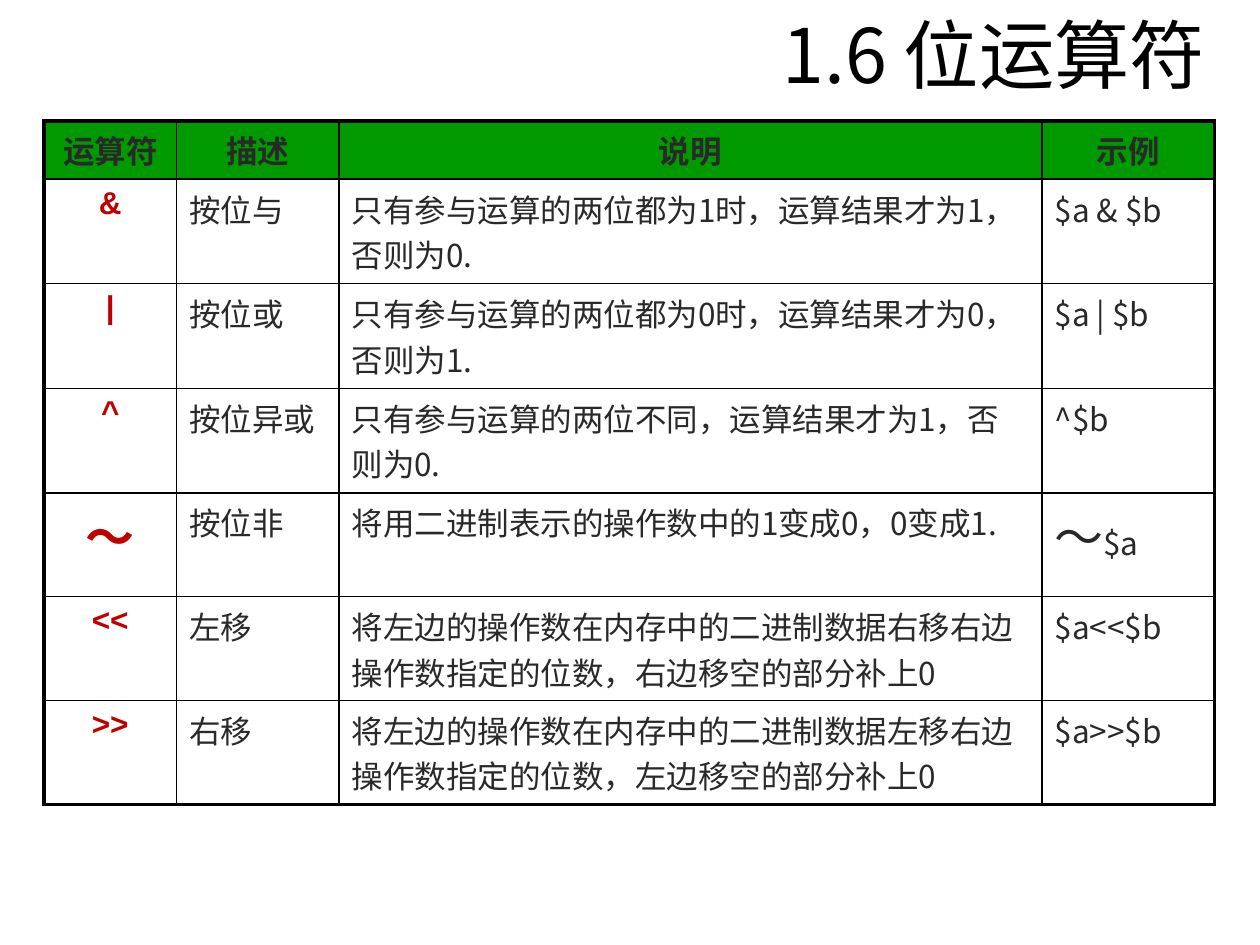
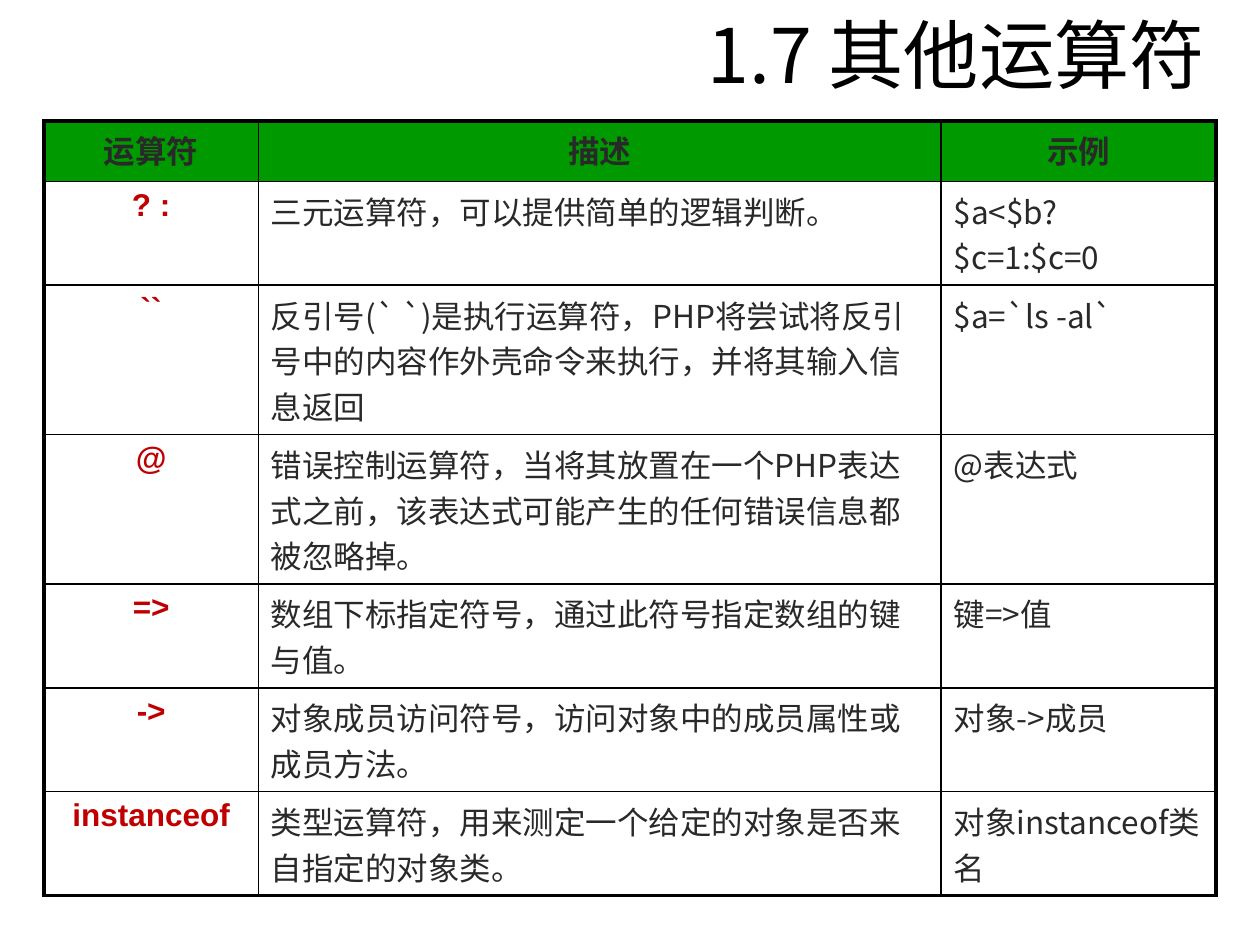
import itertools
from dataclasses import dataclass

import lxml.etree
import pptx
import pptx.dml.color
import pptx.enum.text
import pptx.oxml.ns
import pptx.util

PX = 9144
SLIDE_W, SLIDE_H = 1000, 750
TITLE_BOX = (279, 8, 687, 69)
TABLE_LEFT, TABLE_TOP = 35, 96
COLORS = {
    "black": "000000",
    "header": "009900",
    "body": "292929",
    "operator": "C00000",
}
BODY_FONT = "Noto Sans CJK SC"
OPERATOR_FONT = "Arial"
TITLE_SIZE, BODY_SIZE, TILDE_SIZE = 43, 18, 28
OUTER_LINE, INNER_LINE = 2.25, 1
TILDE = "～"
ALIGN = pptx.enum.text.PP_ALIGN


@dataclass(frozen=True)
class TextStyle:
    font: str
    color: str
    size: int = BODY_SIZE
    bold: bool = False
    align: ALIGN = ALIGN.LEFT


@dataclass(frozen=True)
class OperatorSlide:
    title: str
    cols: tuple[int, ...]
    row_heights: tuple[int, ...]
    rows: tuple[tuple[str, ...], ...]


TITLE = TextStyle(BODY_FONT, "black", TITLE_SIZE, align=ALIGN.RIGHT)
HEADER = TextStyle(BODY_FONT, "body", bold=True, align=ALIGN.CENTER)
OPERATOR = TextStyle(OPERATOR_FONT, "operator", bold=True, align=ALIGN.CENTER)
BODY = TextStyle(BODY_FONT, "body")

SLIDES = (
    OperatorSlide(
        "1.6 位运算符",
        (105, 129, 558, 137),
        (44, 83, 83, 83, 62, 77, 77),
        (
            ("运算符", "描述", "说明", "示例"),
            ("&", "按位与", "只有参与运算的两位都为1时，运算结果才为1，否则为0.", "$a & $b"),
            ("|", "按位或", "只有参与运算的两位都为0时，运算结果才为0，否则为1.", "$a | $b"),
            ("^", "按位异或", "只有参与运算的两位不同，运算结果才为1，否则为0.", "^$b"),
            ("～", "按位非", "将用二进制表示的操作数中的1变成0，0变成1.", "～$a"),
            ("<<", "左移", "将左边的操作数在内存中的二进制数据右移右边操作数指定的位数，右边移空的部分补上0", "$a<<$b"),
            (">>", "右移", "将左边的操作数在内存中的二进制数据左移右边操作数指定的位数，左边移空的部分补上0", "$a>>$b"),
        ),
    ),
    OperatorSlide(
        "1.7 其他运算符",
        (170, 542, 218),
        (48, 77, 101, 101, 70, 71, 71),
        (
            ("运算符", "描述", "示例"),
            ("? :", "三元运算符，可以提供简单的逻辑判断。", "$a<$b?$c=1:$c=0"),
            ("``", "反引号(` `)是执行运算符，PHP将尝试将反引号中的内容作外壳命令来执行，并将其输入信息返回", "$a=`ls -al`"),
            ("@", "错误控制运算符，当将其放置在一个PHP表达式之前，该表达式可能产生的任何错误信息都被忽略掉。", "@表达式"),
            ("=>", "数组下标指定符号，通过此符号指定数组的键与值。", "键=>值"),
            ("->", "对象成员访问符号，访问对象中的成员属性或成员方法。", "对象->成员"),
            ("instanceof", "类型运算符，用来测定一个给定的对象是否来自指定的对象类。", "对象instanceof类名"),
        ),
    ),
)


def rgb(name: str) -> pptx.dml.color.RGBColor:
    return pptx.dml.color.RGBColor.from_string(COLORS[name])


def add_child(parent, tag: str, **attrs: str):
    return lxml.etree.SubElement(parent, pptx.oxml.ns.qn(tag), attrs)


def write_text(p, text: str, style: TextStyle) -> None:
    p.alignment = style.align
    for is_tilde, chars in itertools.groupby(text, lambda c: c == TILDE):
        r = p.add_run()
        r.text = "".join(chars)
        r.font.size = pptx.util.Pt(TILDE_SIZE if is_tilde else style.size)
        r.font.bold = style.bold
        r.font.name = style.font
        r.font.color.rgb = rgb(style.color)
        add_child(r.font._element, "a:ea", typeface=BODY_FONT)


def set_space_before(p, percent: int) -> None:
    spacing = add_child(p._p.get_or_add_pPr(), "a:spcBef")
    add_child(spacing, "a:spcPct", val=str(percent * 1000))


def set_borders(cell, outer_sides: dict[str, bool]) -> None:
    tc_pr = cell._tc.get_or_add_tcPr()
    for side, is_outer in outer_sides.items():
        width = pptx.util.Pt(OUTER_LINE if is_outer else INNER_LINE)
        ln = add_child(tc_pr, f"a:ln{side}", w=str(int(width)))
        add_child(add_child(ln, "a:solidFill"), "a:srgbClr", val=COLORS["black"])


def add_title(slide, text: str) -> None:
    sp = slide.shapes.title
    sp.left, sp.top, sp.width, sp.height = (v * PX for v in TITLE_BOX)
    tf = sp.text_frame
    tf.word_wrap = True
    tf.auto_size = pptx.enum.text.MSO_AUTO_SIZE.NONE
    tf.vertical_anchor = pptx.enum.text.MSO_ANCHOR.MIDDLE
    write_text(tf.paragraphs[0], text, TITLE)


def add_operator_table(slide, data: OperatorSlide) -> None:
    n_rows, n_cols = len(data.rows), len(data.cols)
    table = slide.shapes.add_table(
        n_rows, n_cols, TABLE_LEFT * PX, TABLE_TOP * PX,
        sum(data.cols) * PX, sum(data.row_heights) * PX,
    ).table
    table.first_row = table.horz_banding = False
    for column, width in zip(table.columns, data.cols):
        column.width = width * PX
    for row, height in zip(table.rows, data.row_heights):
        row.height = height * PX
    for i, j in itertools.product(range(n_rows), range(n_cols)):
        cell = table.cell(i, j)
        set_borders(cell, {
            "L": j == 0, "R": j == n_cols - 1,
            "T": i == 0, "B": i == n_rows - 1,
        })
        if i == 0:
            cell.fill.solid()
            cell.fill.fore_color.rgb = rgb("header")
        else:
            cell.fill.background()
        style = HEADER if i == 0 else OPERATOR if j == 0 else BODY
        p = cell.text_frame.paragraphs[0]
        write_text(p, data.rows[i][j], style)
        set_space_before(p, 20)


def main() -> None:
    prs = pptx.Presentation()
    prs.slide_width, prs.slide_height = SLIDE_W * PX, SLIDE_H * PX
    for data in SLIDES:
        slide = prs.slides.add_slide(prs.slide_layouts[5])
        add_title(slide, data.title)
        add_operator_table(slide, data)
    prs.save("out.pptx")


if __name__ == "__main__":
    main()
